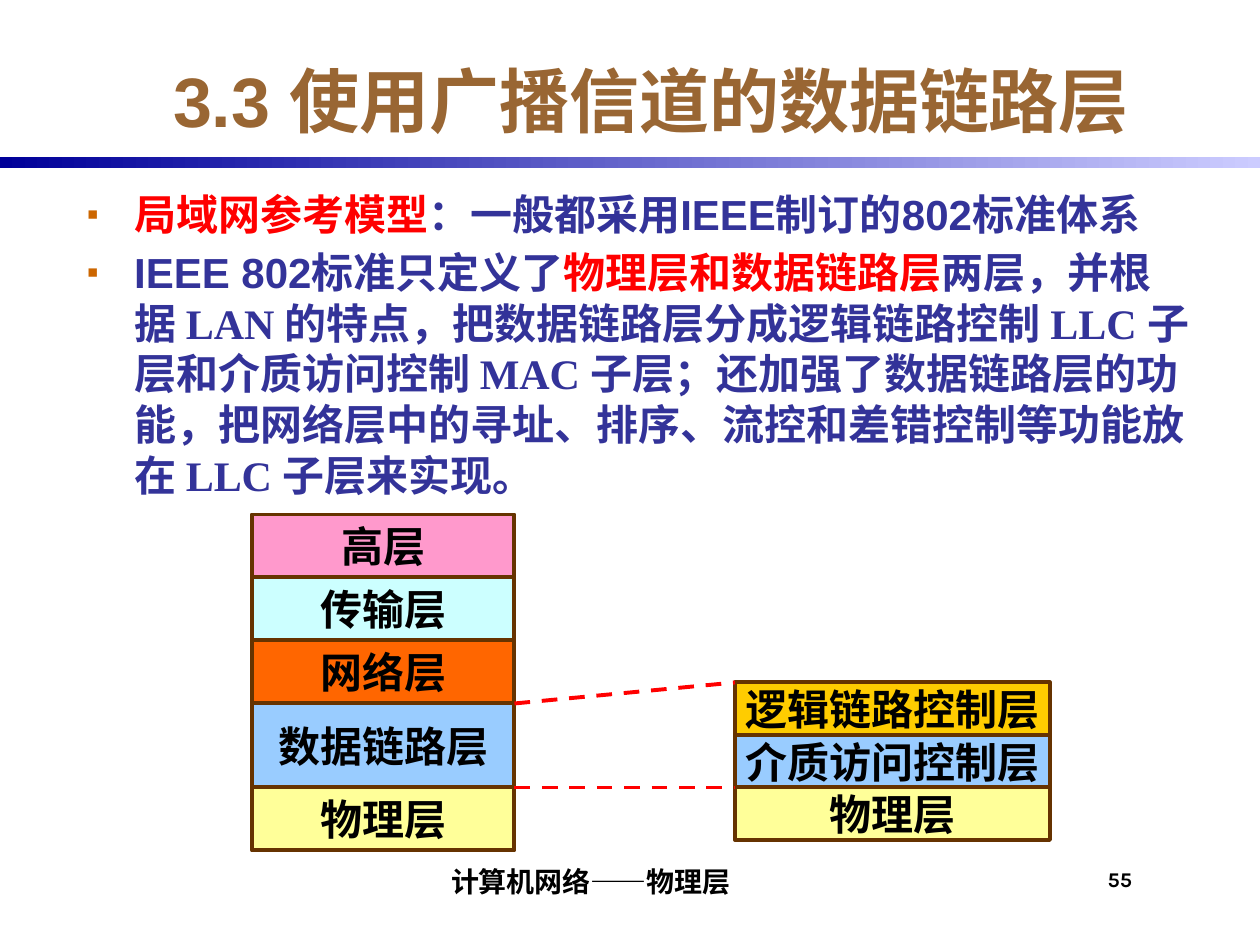
from dataclasses import dataclass

from lxml.etree import SubElement
from pptx import Presentation
from pptx.dml.color import RGBColor
from pptx.enum.dml import MSO_LINE
from pptx.enum.shapes import MSO_CONNECTOR, MSO_SHAPE
from pptx.enum.text import MSO_ANCHOR, MSO_AUTO_SIZE, PP_ALIGN
from pptx.oxml.ns import qn
from pptx.util import Pt


@dataclass(frozen=True)
class Theme:
    title: str = "996633"
    body: str = "333399"
    accent: str = "FF0000"
    bullet: str = "CC6600"
    text: str = "000000"
    border: str = "663300"
    bar_start: str = "000099"
    bar_end: str = "CCCCFF"
    pink: str = "FF99CC"
    cyan: str = "CCFFFF"
    orange: str = "FF6600"
    blue: str = "99CCFF"
    yellow: str = "FFFF99"
    gold: str = "FFCC00"
    sans: str = "Arial"
    serif: str = "Times New Roman"
    small: str = "Karla"
    cjk: str = "Noto Sans CJK SC"
    title_size: int = 40
    body_size: int = 24
    footer_size: int = 16
    number_size: int = 12
    line_width: float = 2.25


T = Theme()


def rgb(value):
    return RGBColor.from_string(value)


def format_run(r, size, font, color):
    r.font.size = Pt(size)
    r.font.bold = True
    r.font.color.rgb = rgb(color)
    r.font.name = font
    SubElement(r._r.get_or_add_rPr(), qn("a:ea"), typeface=T.cjk)


def place(sp, left, top, width, height):
    sp.left, sp.top, sp.width, sp.height = map(Pt, (left, top, width, height))


def set_line(tf, text, size, font, color, align=PP_ALIGN.CENTER):
    tf.text = text
    p = tf.paragraphs[0]
    p.alignment = align
    format_run(p.runs[0], size, font, color)


def add_bullet(p, runs, space_before):
    pPr = p._p.get_or_add_pPr()
    pPr.set("marL", str(Pt(27)))
    pPr.set("indent", str(-Pt(27)))
    SubElement(SubElement(pPr, qn("a:buClr")), qn("a:srgbClr"), val=T.bullet)
    SubElement(pPr, qn("a:buSzPct"), val="80000")
    SubElement(pPr, qn("a:buFont"), typeface=T.sans)
    SubElement(pPr, qn("a:buChar"), char="▪")
    p.space_before = Pt(space_before)
    p.line_spacing = Pt(29)
    for text, font, color in runs:
        r = p.add_run()
        r.text = text
        format_run(r, T.body_size, font, color)


def add_label(slide, box, text, size, anchor, align):
    sp = slide.shapes.add_textbox(*map(Pt, box))
    tf = sp.text_frame
    tf.word_wrap = True
    tf.vertical_anchor = anchor
    tf.margin_left = Pt(3)
    tf.margin_right = 0
    tf.margin_top = Pt(3) if anchor == MSO_ANCHOR.TOP else 0
    tf.margin_bottom = Pt(3) if anchor == MSO_ANCHOR.BOTTOM else 0
    set_line(tf, text, size, T.small, T.text, align)


def add_stack(group, left, top, width, layers):
    """Stack layers downwards, each one starting where the last one ends."""
    for text, height, color in layers:
        sp = group.shapes.add_shape(MSO_SHAPE.RECTANGLE, Pt(left), Pt(top),
                                    Pt(width), Pt(height))
        sp.shadow.inherit = False
        sp.fill.solid()
        sp.fill.fore_color.rgb = rgb(color)
        sp.line.color.rgb = rgb(T.border)
        sp.line.width = Pt(T.line_width)
        tf = sp.text_frame
        tf.word_wrap = False
        tf.vertical_anchor = MSO_ANCHOR.MIDDLE
        set_line(tf, text, T.body_size, T.serif, T.text)
        top += height


def add_dashed_line(group, x1, y1, x2, y2):
    line = group.shapes.add_connector(MSO_CONNECTOR.STRAIGHT,
                                      *map(Pt, (x1, y1, x2, y2)))
    line.line.color.rgb = rgb(T.accent)
    line.line.width = Pt(T.line_width)
    line.line.dash_style = MSO_LINE.DASH
    SubElement(line._element.spPr, qn("a:effectLst"))


def add_bar(slide):
    sp = slide.shapes.add_shape(MSO_SHAPE.RECTANGLE, 0, Pt(90), Pt(720), Pt(6))
    sp.shadow.inherit = False
    sp.line.fill.background()
    sp.fill.gradient()
    sp.fill.gradient_angle = 0
    for stop, color, pos in zip(sp.fill.gradient_stops,
                                (T.bar_start, T.bar_end), (0, 1)):
        stop.color.rgb = rgb(color)
        stop.position = pos


def fill_title(sp):
    place(sp, 66, 24, 612, 66)
    tf = sp.text_frame
    tf.auto_size = MSO_AUTO_SIZE.NONE
    tf.vertical_anchor = MSO_ANCHOR.MIDDLE
    set_line(tf, "3.3 使用广播信道的数据链路层", T.title_size, T.sans, T.title)


def fill_body(sp):
    place(sp, 42.5, 104, 646.5, 360)
    tf = sp.text_frame
    tf.auto_size = MSO_AUTO_SIZE.NONE
    add_bullet(tf.paragraphs[0], [
        ("局域网参考模型", T.sans, T.accent),
        ("：一般都采用IEEE制订的802标准体系", T.sans, T.body),
    ], 0)
    add_bullet(tf.add_paragraph(), [
        ("IEEE 802标准只定义", T.sans, T.body),
        ("了", T.cjk, T.body),
        ("物理层和数据链路层", T.cjk, T.accent),
        ("两层，并根据 ", T.cjk, T.body),
        ("LAN ", T.serif, T.body),
        ("的特点，把数据链路层分成逻辑链路控制 ", T.cjk, T.body),
        ("LLC ", T.serif, T.body),
        ("子层和介质访问控制 ", T.cjk, T.body),
        ("MAC ", T.serif, T.body),
        ("子层；还加强了数据链路层的功能，把网络层中的寻址、排序、流控和"
         "差错控制等功能放在 ", T.cjk, T.body),
        ("LLC ", T.serif, T.body),
        ("子层来实现。", T.cjk, T.body),
    ], 4)


def add_layer_model(slide):
    group = slide.shapes.add_group_shape()
    # General layer model on the left
    add_stack(group, 144, 294, 150, [
        ("高层", 36, T.pink),
        ("传输层", 36, T.cyan),
        ("网络层", 36, T.orange),
        ("数据链路层", 48, T.blue),
        ("物理层", 36, T.yellow),
    ])
    # Local network model on the right
    add_stack(group, 420, 390, 180, [
        ("逻辑链路控制层", 30, T.gold),
        ("介质访问控制层", 30, T.blue),
        ("物理层", 30, T.yellow),
    ])
    # Data link layer opened into its two sublayers
    add_dashed_line(group, 294, 402, 420, 390)
    add_dashed_line(group, 294, 450, 420, 450)


def main():
    prs = Presentation()
    prs.slide_width, prs.slide_height = Pt(720), Pt(540)
    slide = prs.slides.add_slide(prs.slide_layouts[1])

    # Heading and text
    add_bar(slide)
    fill_title(slide.shapes.title)
    fill_body(slide.placeholders[1])

    # Diagram
    add_layer_model(slide)

    # Footer and page number
    add_label(slide, (150, 486, 372, 30), "计算机网络——物理层",
              T.footer_size, MSO_ANCHOR.BOTTOM, PP_ALIGN.CENTER)
    add_label(slide, (630, 492, 42, 30), "55",
              T.number_size, MSO_ANCHOR.TOP, PP_ALIGN.LEFT)
    prs.save("out.pptx")


if __name__ == "__main__":
    main()
